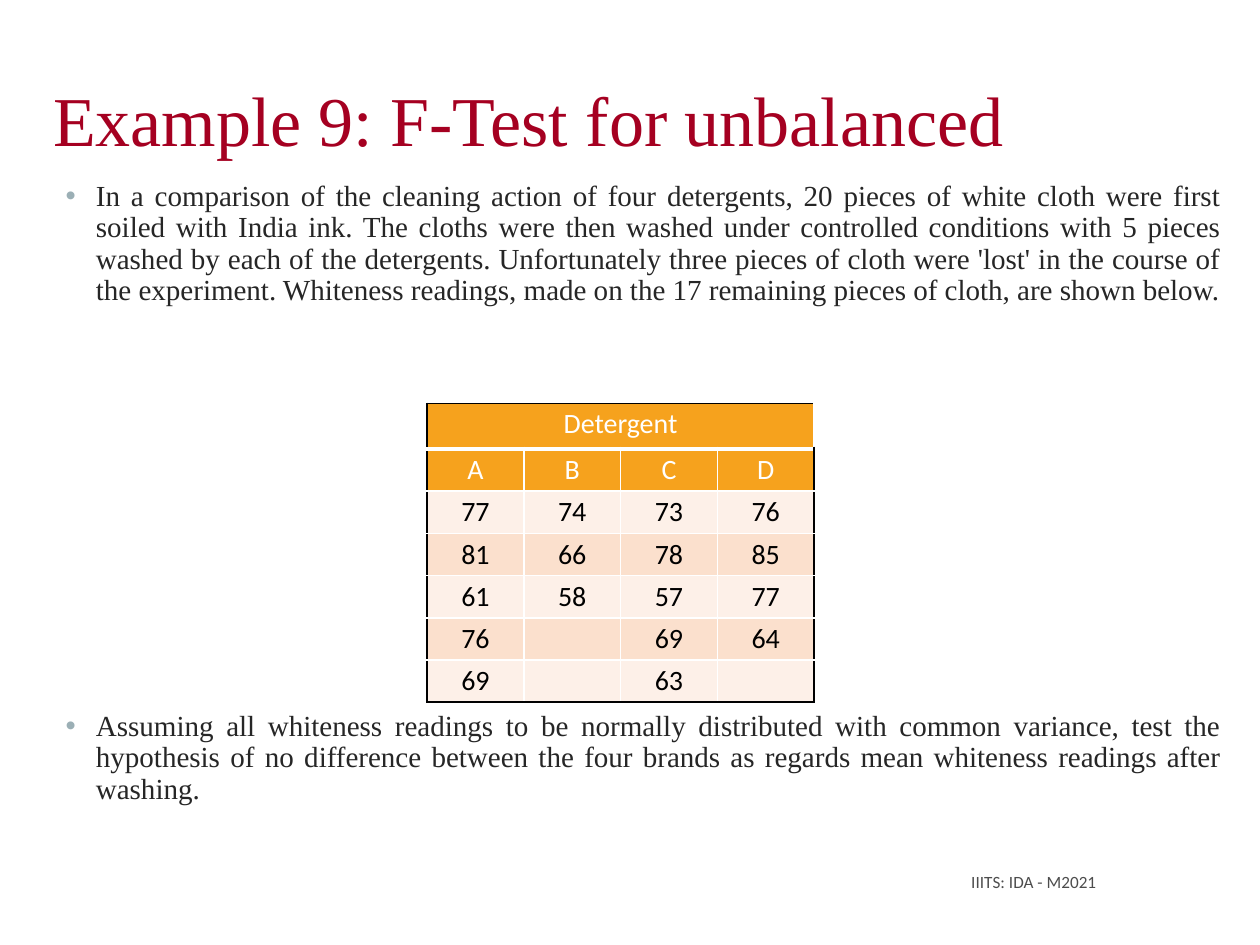
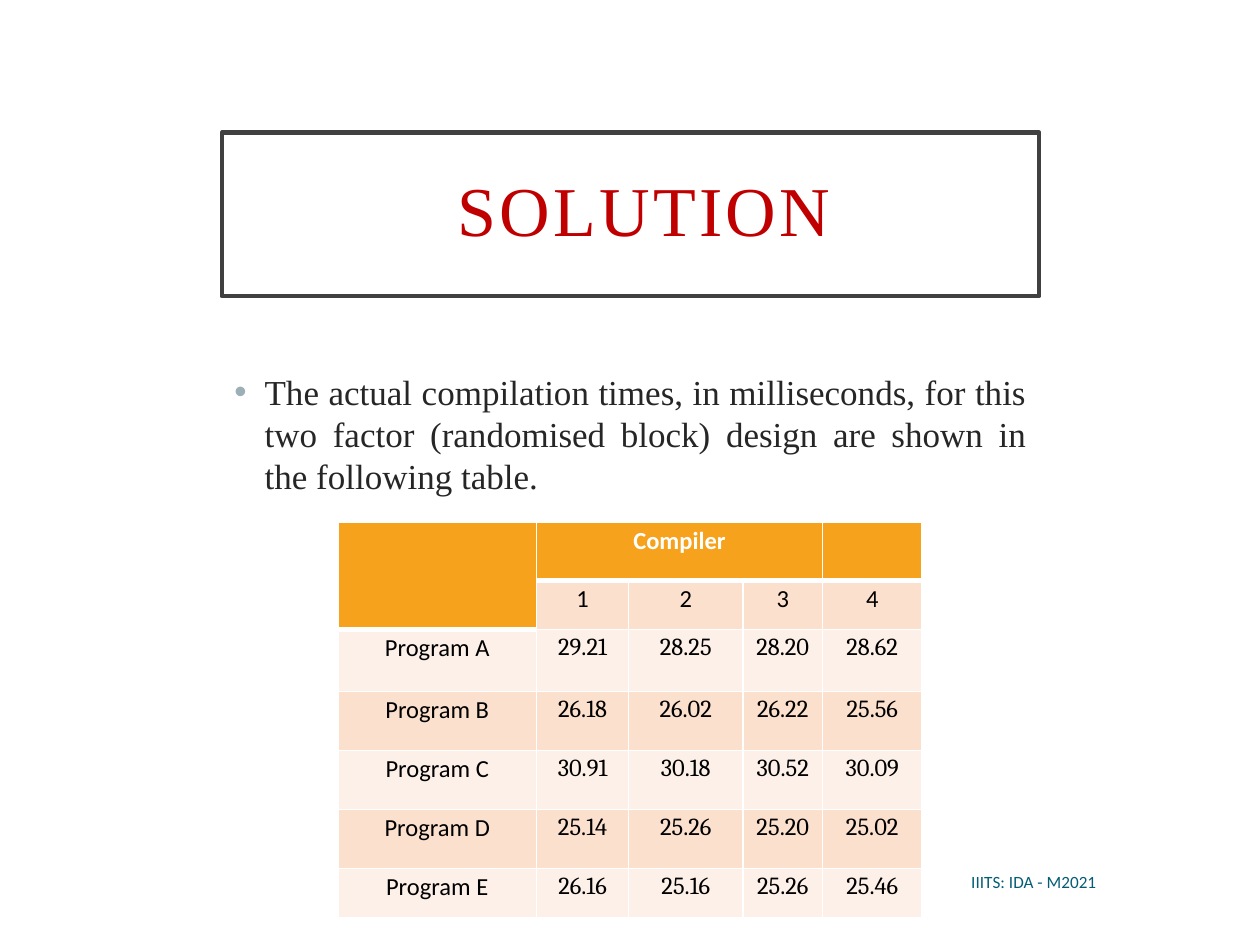
from lxml.etree import SubElement
from pptx import Presentation
from pptx.dml.color import RGBColor
from pptx.enum.text import MSO_ANCHOR, MSO_AUTO_SIZE, PP_ALIGN
from pptx.oxml.ns import qn
from pptx.util import Cm, Pt

# Shared look
SERIF, SANS, NUMBERS = "Times New Roman", "Calibri", "Cambria"
WHITE, BLACK, INK = "FFFFFF", "000000", "262626"
ORANGE, PALE, PEACH = "F6A21D", "FDF0E8", "FBE0CD"
BULLET, FRAME = "9BAFB5", "404040"
FOOTER_TEXT = "IIITS: IDA - M2021"


def color(value):
    return RGBColor.from_string(value)


def style(para, size, font, ink, align, bold=False):
    para.font.size = Pt(size)
    para.font.name = font
    para.font.bold = bold
    para.font.color.rgb = color(ink)
    para.alignment = align


def place(shape, left, top, width, height):
    shape.left, shape.top = Cm(left), Cm(top)
    shape.width, shape.height = Cm(width), Cm(height)


def set_insets(frame, left, top, right, bottom):
    frame.margin_left, frame.margin_top = Cm(left), Cm(top)
    frame.margin_right, frame.margin_bottom = Cm(right), Cm(bottom)


def add_title(page, text, area, ink, align, anchor, insets):
    title = page.shapes.title
    place(title, *area)
    frame = title.text_frame
    frame.text = text
    frame.auto_size = MSO_AUTO_SIZE.NONE
    frame.vertical_anchor = anchor
    set_insets(frame, *insets)
    style(frame.paragraphs[0], 40, SERIF, ink, align)
    return title


def frame_title(title):
    """Box the title and letter-space its words."""
    title.fill.solid()
    title.fill.fore_color.rgb = color(WHITE)
    title.line.color.rgb = color(FRAME)
    title.line.width = Pt(2.5)
    para = title.text_frame.paragraphs[0]
    para.line_spacing = 0.9
    para.runs[0]._r.get_or_add_rPr().set("spc", "190")


def add_bullets(page, items, area, size, line_spacing):
    """Write (text, space before) pairs as justified bullets."""
    body = page.placeholders[1]
    place(body, *area)
    frame = body.text_frame
    frame.auto_size = MSO_AUTO_SIZE.NONE
    frame.text = "\n".join(text for text, _ in items)
    for para, (_, space_before) in zip(frame.paragraphs, items):
        style(para, size, SERIF, INK, PP_ALIGN.JUSTIFY)
        para.line_spacing = line_spacing
        para.space_before = Pt(space_before)
        props = para._p.get_or_add_pPr()
        props.set("marL", str(Cm(0.61)))
        props.set("indent", str(-Cm(0.61)))
        tint = props.makeelement(qn("a:buClr"))
        SubElement(tint, qn("a:srgbClr"), val=BULLET)
        mark = props.makeelement(qn("a:buChar"), char="•")
        props.find(qn("a:defRPr")).addprevious(tint)
        tint.addnext(mark)


def add_footer(page, ink):
    box = page.shapes.add_textbox(Cm(16.61), Cm(17.32), Cm(5.74), Cm(0.89))
    frame = box.text_frame
    frame.word_wrap = True
    frame.vertical_anchor = MSO_ANCHOR.MIDDLE
    frame.text = FOOTER_TEXT
    style(frame.paragraphs[0], 9.8, SANS, ink, PP_ALIGN.RIGHT)


def set_border(cell, side, ink, width):
    props = cell._tc.get_or_add_tcPr()
    line = SubElement(props, qn(f"a:ln{side}"), w=str(Pt(width)))
    fill = SubElement(line, qn("a:solidFill"))
    SubElement(fill, qn("a:srgbClr"), val=ink)


def fill_cell(cell, text, fill, size, font, ink, bold):
    cell.fill.solid()
    cell.fill.fore_color.rgb = color(fill)
    cell.margin_left = cell.margin_right = Cm(0.16)
    cell.margin_top = cell.margin_bottom = Cm(0.08)
    cell.text = text
    para = cell.text_frame.paragraphs[0]
    style(para, size, font, ink, PP_ALIGN.CENTER, bold)
    if not text:  # keeps an empty row from growing
        SubElement(para._p, qn("a:endParaRPr"), sz=str(size * 100))


def add_grid(page, left, top, widths, heights, rows, look, merges,
             header_ends, outline):
    """Draw a table; header_ends gives each column's last header row."""
    table = page.shapes.add_table(
        len(rows), len(widths), Cm(left), Cm(top),
        Cm(sum(widths)), Cm(sum(heights))).table
    table.first_row = table.horz_banding = False
    for column, width in zip(table.columns, widths):
        column.width = Cm(width)
    for line, height in zip(table.rows, heights):
        line.height = Cm(height)

    last_row, last_column = len(rows) - 1, len(widths) - 1
    for r, row in enumerate(rows):
        for c, text in enumerate(row):
            cell = table.cell(r, c)
            end = header_ends[c]
            edges = {
                "L": (outline if c == 0 else WHITE, 1),
                "R": (outline if c == last_column else WHITE, 1),
                "T": (outline if r == 0 else WHITE, 3 if r == end + 1 else 1),
                "B": (outline if r == last_row else WHITE,
                      3 if r <= end else 1),
            }
            for side, (ink, width) in edges.items():
                set_border(cell, side, ink, width)
            fill_cell(cell, text, *look(r, c))
    for first, last in merges:
        table.cell(*first).merge(table.cell(*last))


def detergent_look(r, c):
    if r < 2:
        return ORANGE, 16, SANS, WHITE, False
    return (PEACH if r % 2 else PALE), 16, SANS, BLACK, False


def compiler_look(r, c):
    if r == 0 or (r == 1 and c == 0):
        return ORANGE, 14, SANS, WHITE, True
    font = NUMBERS if r > 1 and c > 0 else SANS
    return (PEACH if r % 2 else PALE), 14, font, BLACK, False


def build_example(page):
    add_title(page, "Example 9: F-Test for unbalanced",
              (1.07, 0.05, 22.86, 3.18), "A50021", PP_ALIGN.LEFT,
              MSO_ANCHOR.BOTTOM, (0, 0.13, 0, 0))
    # The wide gap before the second bullet leaves room for the table
    add_bullets(page, [
        ("In a comparison of the cleaning action of four detergents, 20 "
         "pieces of white cloth were first soiled with India ink. The cloths "
         "were then washed under controlled conditions with 5 pieces washed "
         "by each of the detergents. Unfortunately three pieces of cloth were "
         "'lost' in the course of the experiment. Whiteness readings, made on "
         "the 17 remaining pieces of cloth, are shown below.", 9.8),
        ("Assuming all whiteness readings to be normally distributed with "
         "common variance, test the hypothesis of no difference between the "
         "four brands as regards mean whiteness readings after washing.", 231),
    ], (1.07, 3.53, 23.77, 14.2), 16.6, 0.9)
    readings = [
        ["Detergent", "", "", ""],
        ["A", "B", "C", "D"],
        ["77", "74", "73", "76"],
        ["81", "66", "78", "85"],
        ["61", "58", "57", "77"],
        ["76", "", "69", "64"],
        ["69", "", "63", ""],
    ]
    add_grid(page, 8.61, 8.13, [1.95] * 4, [0.92] + [0.83] * 6, readings,
             detergent_look, [((0, 0), (0, 3))], [0] * 4, BLACK)
    add_footer(page, "4D4D4D")


def build_solution(page):
    # The larger left inset sets the word slightly right of centre
    title = add_title(page, "SOLUTION", (4.47, 2.67, 16.48, 3.3), "C00000",
                      PP_ALIGN.CENTER, MSO_ANCHOR.MIDDLE,
                      (1.05, 0.51, 0.51, 0.51))
    frame_title(title)
    add_bullets(page, [
        ("The actual compilation times, in milliseconds, for this two factor "
         "(randomised block) design are shown in the following table.", 9.8),
    ], (4.47, 7.34, 16.48, 8.61), 20, 1.0)
    add_footer(page, "045D75")
    times = [
        ["", "Compiler", "", "", ""],
        ["", "1", "2", "3", "4"],
        ["Program A", "29.21", "28.25", "28.20", "28.62"],
        ["Program B", "26.18", "26.02", "26.22", "25.56"],
        ["Program C", "30.91", "30.18", "30.52", "30.09"],
        ["Program D", "25.14", "25.26", "25.20", "25.02"],
        ["Program E", "26.16", "25.16", "25.26", "25.46"],
    ]
    add_grid(page, 6.81, 10.52, [4.01, 1.85, 2.31, 1.6, 2.01],
             [1.18, 0.99, 1.25, 1.19, 1.19, 1.19, 0.99], times,
             compiler_look, [((0, 0), (1, 0)), ((0, 1), (0, 3))],
             [1, 0, 0, 0, 0], WHITE)


def main():
    deck = Presentation()
    deck.slide_width, deck.slide_height = Cm(25.4), Cm(19.05)
    for build in (build_example, build_solution):
        build(deck.slides.add_slide(deck.slide_layouts[1]))
    deck.save("out.pptx")


if __name__ == "__main__":
    main()
